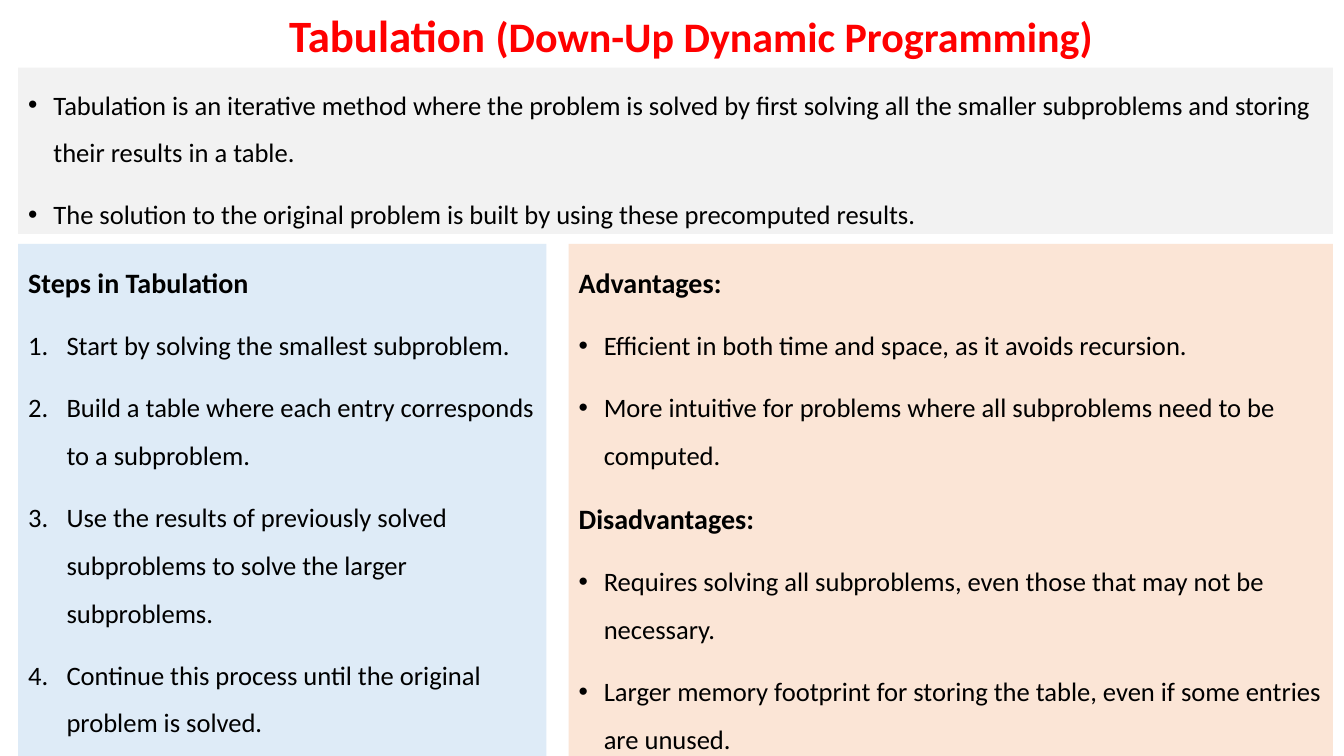
from lxml import etree
from pptx import Presentation
from pptx.dml.color import RGBColor
from pptx.enum import text
from pptx.oxml import ns
from pptx.util import Inches, Pt

# Content
HEADING = [("Tabulation ", 32), ("(Down-Up Dynamic Programming)", 30)]
OVERVIEW = [
    ("bullet", "Tabulation is an iterative method where the problem is solved by first "
               "solving all the smaller subproblems and storing their results in a table."),
    ("bullet", "The solution to the original problem is built by using these "
               "precomputed results."),
]
STEPS = [
    ("head", "Steps in Tabulation"),
    ("number", "Start by solving the smallest subproblem."),
    ("number", "Build a table where each entry corresponds to a subproblem."),
    ("number", "Use the results of previously solved subproblems to solve the larger "
               "subproblems."),
    ("number", "Continue this process until the original problem is solved."),
]
PROS_CONS = [
    ("head", "Advantages:"),
    ("bullet", "Efficient in both time and space, as it avoids recursion."),
    ("bullet", "More intuitive for problems where all subproblems need to be computed."),
    ("head", "Disadvantages:"),
    ("bullet", "Requires solving all subproblems, even those that may not be necessary."),
    ("bullet", "Larger memory footprint for storing the table, even if some entries "
               "are unused."),
]

# Style
FONT = "Calibri"
RED = RGBColor(0xFF, 0x00, 0x00)
BLACK = RGBColor(0x00, 0x00, 0x00)
GREY = RGBColor(0xF2, 0xF2, 0xF2)
BLUE = RGBColor(0xDE, 0xEB, 0xF7)
PEACH = RGBColor(0xFB, 0xE5, 0xD6)
# Kind of line: size, bold, hanging indent, marker tag, marker attributes
LINE_STYLES = {
    "head": (20, True, 0, "a:buNone", {}),
    "bullet": (19, False, 0.25, "a:buChar", {"char": "•"}),
    "number": (19, False, 0.38, "a:buAutoNum", {"type": "arabicPeriod"}),
}

# Layout in inches
WIDTH, HEIGHT = 13.33, 7.5
LEFT, RIGHT = 0.18, 13.22
OVERVIEW_TOP, OVERVIEW_HEIGHT = 0.67, 1.65
COLUMN_TOP = 2.42
STEPS_WIDTH, COLUMN_GAP = 5.24, 0.22
PROS_LEFT = LEFT + STEPS_WIDTH + COLUMN_GAP


def place(box, left, top, width, height, anchor):
    box.left, box.top = Inches(left), Inches(top)
    box.width, box.height = Inches(width), Inches(height)
    frame = box.text_frame
    frame.word_wrap = True
    frame.auto_size = text.MSO_AUTO_SIZE.NONE
    frame.vertical_anchor = anchor


def add_run(paragraph, words, size, bold, color):
    run = paragraph.add_run()
    run.text = words
    run.font.name, run.font.size, run.font.bold = FONT, Pt(size), bold
    run.font.color.rgb = color


def fill_panel(panel, lines, color):
    panel.fill.solid()
    panel.fill.fore_color.rgb = color
    frame = panel.text_frame
    for i, (kind, words) in enumerate(lines):
        size, bold, indent, marker, attributes = LINE_STYLES[kind]
        paragraph = frame.add_paragraph() if i else frame.paragraphs[0]
        paragraph.alignment = text.PP_ALIGN.LEFT
        paragraph.line_spacing = 1.5
        paragraph.space_before = Pt(10)
        props = paragraph._p.get_or_add_pPr()
        props.set("marL", str(Inches(indent)))
        props.set("indent", str(-Inches(indent)))
        if kind == "bullet":
            etree.SubElement(props, ns.qn("a:buFont"), typeface="Arial")
        etree.SubElement(props, ns.qn(marker), attributes)
        add_run(paragraph, words, size, bold, BLACK)


deck = Presentation()
deck.slide_width, deck.slide_height = Inches(WIDTH), Inches(HEIGHT)
slide = deck.slides.add_slide(deck.slide_layouts.get_by_name("Two Content"))

# Title
title = slide.shapes.title
place(title, 0.95, 0.12, 11.81, 0.55, text.MSO_ANCHOR.BOTTOM)
title_line = title.text_frame.paragraphs[0]
title_line.alignment = text.PP_ALIGN.CENTER
title_line.line_spacing = 0.9
for words, size in HEADING:
    add_run(title_line, words, size, True, RED)

# Panels
overview, steps = slide.placeholders[1], slide.placeholders[2]
pros_cons = slide.shapes.add_textbox(0, 0, 0, 0)
column_height = HEIGHT - COLUMN_TOP
panels = [
    (overview, OVERVIEW, GREY, LEFT, OVERVIEW_TOP, RIGHT - LEFT, OVERVIEW_HEIGHT),
    (steps, STEPS, BLUE, LEFT, COLUMN_TOP, STEPS_WIDTH, column_height),
    (pros_cons, PROS_CONS, PEACH, PROS_LEFT, COLUMN_TOP, RIGHT - PROS_LEFT, column_height),
]
for panel, lines, color, *area in panels:
    place(panel, *area, text.MSO_ANCHOR.TOP)
    fill_panel(panel, lines, color)

deck.save("out.pptx")
